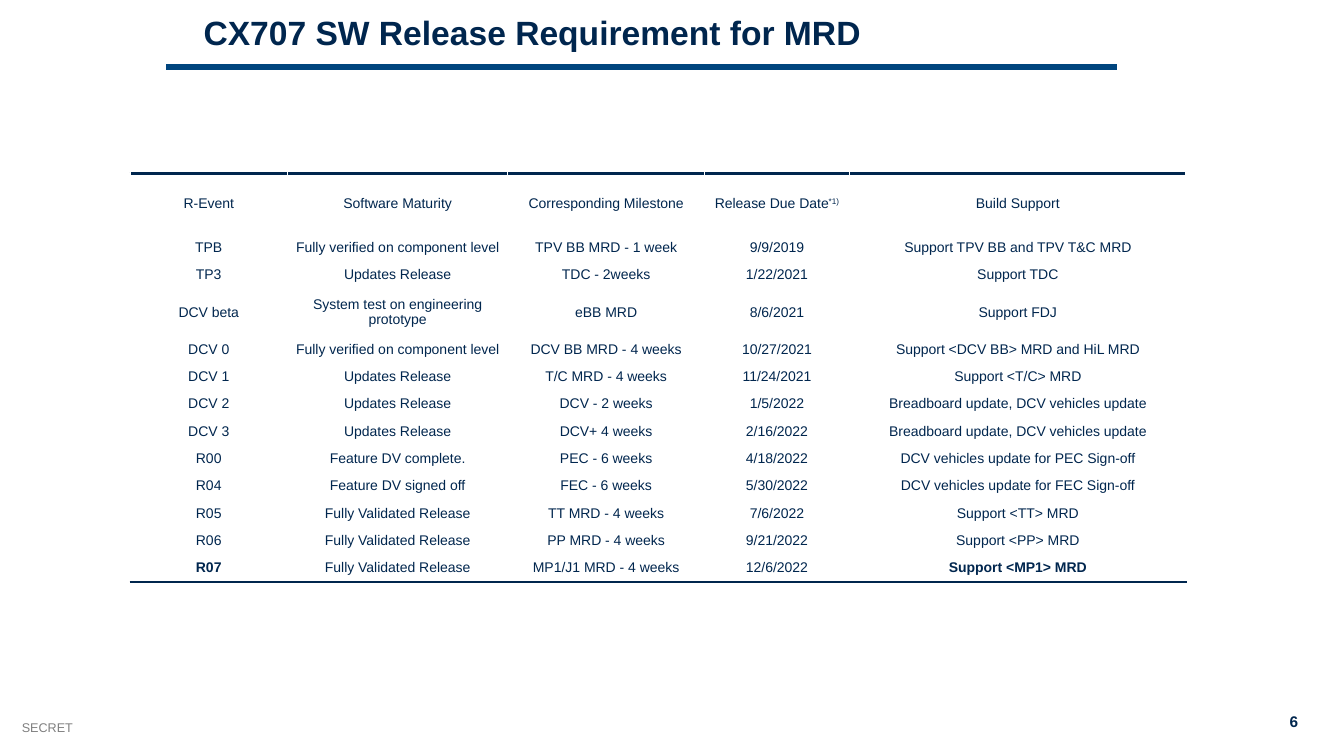
"""Build the CX707 software release requirement slide."""
from dataclasses import dataclass

from lxml import etree
from pptx import Presentation
from pptx.dml.color import RGBColor
from pptx.enum.shapes import MSO_CONNECTOR
from pptx.enum.text import MSO_ANCHOR, PP_ALIGN
from pptx.oxml.ns import qn
from pptx.slide import Slide
from pptx.table import _Cell
from pptx.text.text import TextFrame
from pptx.util import Cm, Pt

LEFT, CENTER, RIGHT = PP_ALIGN.LEFT, PP_ALIGN.CENTER, PP_ALIGN.RIGHT
MIDDLE = MSO_ANCHOR.MIDDLE
STRAIGHT = MSO_CONNECTOR.STRAIGHT


@dataclass(frozen=True)
class Theme:
    font: str = "Arial"
    navy: str = "00264E"
    blue: str = "00457E"
    gray: str = "808080"
    white: str = "FFFFFF"
    title: float = 24
    body: float = 10
    page: float = 11
    label: float = 9
    rule: float = 4.5
    edge: float = 2


@dataclass(frozen=True)
class Label:
    text: str
    left: float
    top: float
    width: float
    height: float
    size: float
    color: str
    bold: bool = False
    align: PP_ALIGN = LEFT
    space: float = 1.0
    wrap: bool = False


@dataclass(frozen=True)
class Event:
    name: str
    stage: str
    goal: str
    due: str
    build: str
    height: float = 0.69
    bold: bool = False
    note: str = ""
    edge: str = ""


THEME = Theme()
LABELS = [
    Label("SECRET", 0.3, 18.01, 7.62, 0.64, THEME.label, THEME.gray),
    Label("6", 31.98, 17.81, 0.99, 0.74, THEME.page, THEME.navy, True, RIGHT),
    Label("CX707 SW Release Requirement for MRD", 4.88, 0.3, 28.5, 1.6,
          THEME.title, THEME.navy, True, space=0.9, wrap=True),
]
WIDTHS = [3.96, 5.56, 4.95, 3.66, 8.48]
EVENTS = [
    Event("R-Event", "Software Maturity", "Corresponding Milestone", "Release Due Date",
          "Build Support", height=1.53, note="*1)", edge="a:lnT"),
    Event("TPB", "Fully verified on component level", "TPV BB MRD - 1 week", "9/9/2019",
          "Support TPV BB and TPV T&C MRD"),
    Event("TP3", "Updates Release", "TDC - 2weeks", "1/22/2021", "Support TDC"),
    Event("DCV beta", "System test on engineering prototype", "eBB MRD", "8/6/2021",
          "Support FDJ", height=1.18),
    Event("DCV 0", "Fully verified on component level", "DCV BB MRD - 4 weeks",
          "10/27/2021", "Support <DCV BB> MRD and HiL MRD"),
    Event("DCV 1", "Updates Release", "T/C MRD - 4 weeks", "11/24/2021",
          "Support <T/C> MRD"),
    Event("DCV 2", "Updates Release", "DCV - 2 weeks", "1/5/2022",
          "Breadboard update, DCV vehicles update"),
    Event("DCV 3", "Updates Release", "DCV+ 4 weeks", "2/16/2022",
          "Breadboard update, DCV vehicles update"),
    Event("R00", "Feature DV complete.", "PEC - 6 weeks", "4/18/2022",
          "DCV vehicles update for PEC Sign-off"),
    Event("R04", "Feature DV signed off", "FEC - 6 weeks", "5/30/2022",
          "DCV vehicles update for FEC Sign-off"),
    Event("R05", "Fully Validated Release", "TT MRD - 4 weeks", "7/6/2022",
          "Support <TT> MRD"),
    Event("R06", "Fully Validated Release", "PP MRD - 4 weeks", "9/21/2022",
          "Support <PP> MRD"),
    Event("R07", "Fully Validated Release", "MP1/J1 MRD - 4 weeks", "12/6/2022",
          "Support <MP1> MRD", bold=True, edge="a:lnB"),
]


def style(frame: TextFrame, size: float, color: str, bold: bool, align: PP_ALIGN) -> None:
    """Format every run in a frame."""
    for para in frame.paragraphs:
        para.alignment = align
        for run in para.runs:
            run.font.name = THEME.font
            run.font.size = Pt(size)
            run.font.bold = bold
            run.font.color.rgb = RGBColor.from_string(color)


def add_label(slide: Slide, item: Label) -> None:
    """Place one line of text."""
    box = slide.shapes.add_textbox(
        Cm(item.left), Cm(item.top), Cm(item.width), Cm(item.height))
    frame = box.text_frame
    frame.word_wrap = item.wrap
    frame.text = item.text
    frame.paragraphs[0].line_spacing = item.space
    style(frame, item.size, item.color, item.bold, item.align)


def add_rule(slide: Slide) -> None:
    """Draw the bar below the title."""
    rule = slide.shapes.add_connector(STRAIGHT, Cm(4.19), Cm(1.68), Cm(28.14), Cm(1.68))
    rule.line.color.rgb = RGBColor.from_string(THEME.blue)
    rule.line.width = Pt(THEME.rule)
    etree.SubElement(rule._element.spPr, qn("a:effectLst"))


def add_edge(cell: _Cell, side: str) -> None:
    """Draw a border on one side of a cell."""
    line = etree.Element(qn(side), w=str(Pt(THEME.edge)))
    fill = etree.SubElement(line, qn("a:solidFill"))
    etree.SubElement(fill, qn("a:srgbClr"), val=THEME.navy)
    cell._tc.get_or_add_tcPr().insert(0, line)


def fill_cell(cell: _Cell, text: str, bold: bool, note: str, edge: str) -> None:
    """Write and format one cell."""
    cell.margin_left = cell.margin_right = cell.margin_top = cell.margin_bottom = 0
    cell.vertical_anchor = MIDDLE
    cell.fill.solid()
    cell.fill.fore_color.rgb = RGBColor.from_string(THEME.white)
    cell.text_frame.text = text
    if note:
        run = cell.text_frame.paragraphs[0].add_run()
        run.text = note
        run.font._element.set("baseline", "30000")
    style(cell.text_frame, THEME.body, THEME.navy, bold, CENTER)
    if edge:
        add_edge(cell, edge)


def add_events(slide: Slide) -> None:
    """Lay out the release table."""
    high = sum(event.height for event in EVENTS)
    table = slide.shapes.add_table(
        len(EVENTS), len(WIDTHS), Cm(3.28), Cm(4.37), Cm(sum(WIDTHS)), Cm(high)).table
    table.first_row = table.horz_banding = False
    for col, width in zip(table.columns, WIDTHS):
        col.width = Cm(width)
    for row, event in zip(table.rows, EVENTS):
        row.height = Cm(event.height)
        texts = (event.name, event.stage, event.goal, event.due, event.build)
        for cell, text in zip(row.cells, texts):
            bold = event.bold and text in (event.name, event.build)
            note = event.note if text == event.due else ""
            fill_cell(cell, text, bold, note, event.edge)


def main() -> None:
    """Build and save the slide."""
    deck = Presentation()
    deck.slide_width, deck.slide_height = Cm(33.87), Cm(19.05)
    slide = deck.slides.add_slide(deck.slide_layouts[6])
    add_rule(slide)
    for item in LABELS:
        add_label(slide, item)
    add_events(slide)
    deck.save("out.pptx")


if __name__ == "__main__":
    main()
